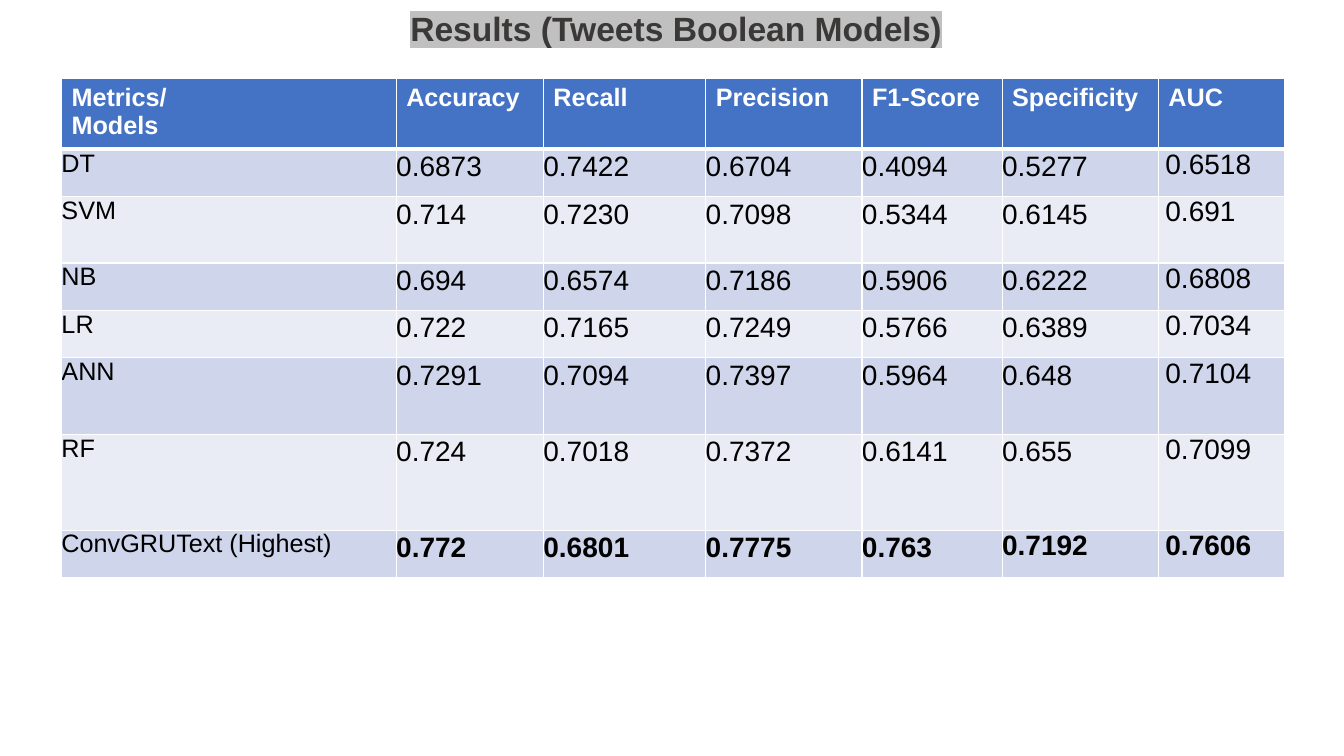
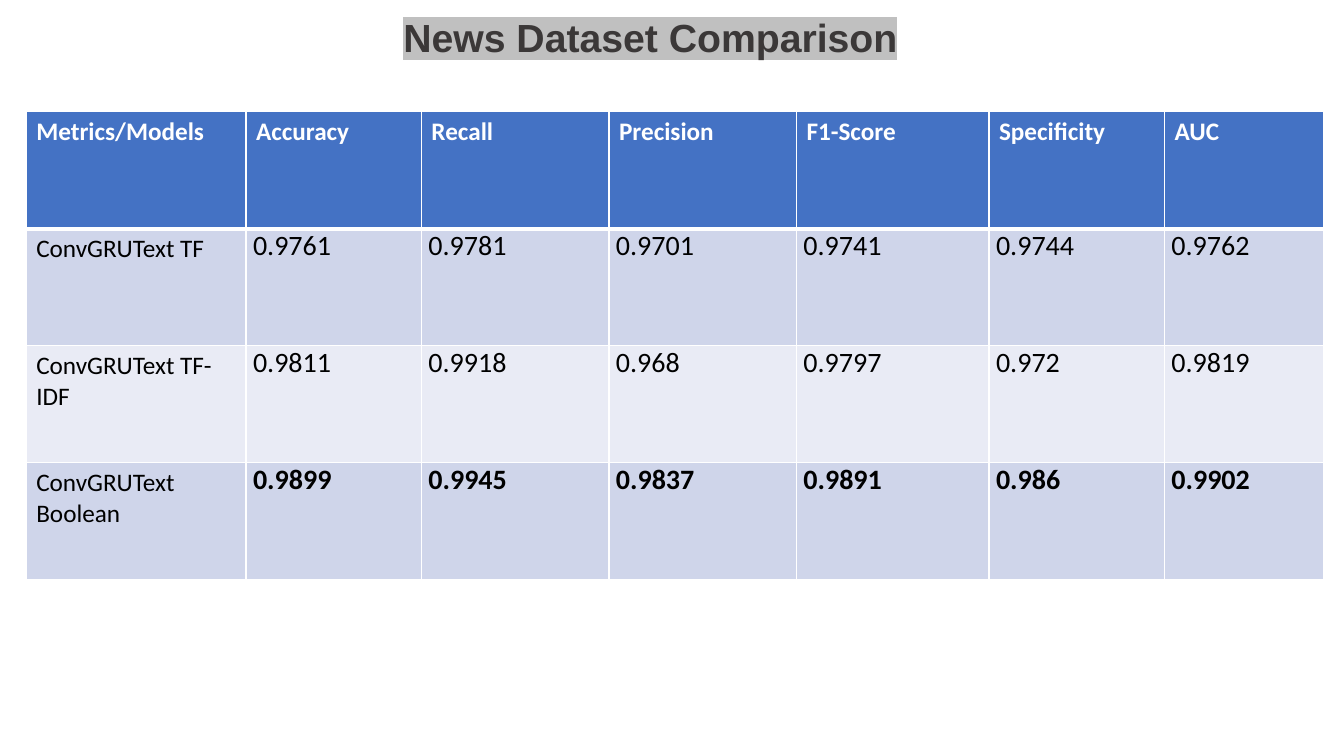
import pptx
import pptx.util
import pptx.dml.color
import pptx.enum.text
import pptx.oxml

Inches, Pt = pptx.util.Inches, pptx.util.Pt
RGB = pptx.dml.color.RGBColor
PP_ALIGN = pptx.enum.text.PP_ALIGN
ANCHOR = pptx.enum.text.MSO_ANCHOR

WHITE = RGB(0xFF, 0xFF, 0xFF)
BLACK = RGB(0, 0, 0)
DARK = RGB(0x3B, 0x38, 0x38)
GREY = RGB(0xC0, 0xC0, 0xC0)
BLUE = RGB(0x44, 0x72, 0xC4)
BANDS = RGB(0xCF, 0xD5, 0xEA), RGB(0xE9, 0xEB, 0xF5)
NS = 'xmlns:a="http://schemas.openxmlformats.org/drawingml/2006/main"'

# Content
METRICS = ["Accuracy", "Recall", "Precision", "F1-Score", "Specificity", "AUC"]
FLUSH, SLIM, WIDE = (0, 0), (0.07, 0), (0.1, 0.05)  # cell margins: side, top
SLIDES = [
    dict(
        title="Results (Tweets Boolean Models)", size=24, box=(0.33, -0.24, 12.75, 0.77),
        font="Arial", at=(0.61, 0.78), corner="Metrics/\nModels",
        cols=[3.32, 1.46, 1.61, 1.55, 1.39, 1.55, 1.25],
        rows=[0.65, 0.47, 0.66, 0.47, 0.47, 0.76, 0.95, 0.47],
        pads=[FLUSH] * 6 + [SLIM], loose=range(1, 6), tight=[(7, 5)],
        data=[
            ("DT", "0.6873", "0.7422", "0.6704", "0.4094", "0.5277", "0.6518"),
            ("SVM", "0.714", "0.7230", "0.7098", "0.5344", "0.6145", "0.691"),
            ("NB", "0.694", "0.6574", "0.7186", "0.5906", "0.6222", "0.6808"),
            ("LR", "0.722", "0.7165", "0.7249", "0.5766", "0.6389", "0.7034"),
            ("ANN", "0.7291", "0.7094", "0.7397", "0.5964", "0.648", "0.7104"),
            ("RF", "0.724", "0.7018", "0.7372", "0.6141", "0.655", "0.7099"),
            ("ConvGRUText (Highest)", "0.772", "0.6801", "0.7775", "0.763", "0.7192", "0.7606"),
        ]),
    dict(
        title="News Dataset Comparison", size=28, box=(1.37, -0.12, 10.16, 0.77),
        font="Calibri", at=(0.26, 1.11), corner="Metrics/Models",
        cols=[2.18, 1.74, 1.86, 1.86, 1.91, 1.74, 1.58],
        rows=[1.16] * 4, pads=[WIDE] + [SLIM] * 6, loose=(), tight=(),
        data=[
            ("ConvGRUText TF", "0.9761", "0.9781", "0.9701", "0.9741", "0.9744", "0.9762"),
            ("ConvGRUText TF-IDF", "0.9811", "0.9918", "0.968", "0.9797", "0.972", "0.9819"),
            ("ConvGRUText Boolean", "0.9899", "0.9945", "0.9837", "0.9891", "0.986", "0.9902"),
        ]),
]


def style(para, face, size, color, bold):
    font = para.font
    font.name, font.size, font.bold = face, Pt(size), bold
    font.color.rgb = color


def add_title(slide, text, size, box):
    frame = slide.shapes.add_textbox(*map(Inches, box)).text_frame
    frame.word_wrap = True
    frame.vertical_anchor = ANCHOR.BOTTOM
    para = frame.paragraphs[0]
    para.alignment, para.line_spacing = PP_ALIGN.CENTER, 0.9
    run = para.add_run()
    run.text = text
    style(para, "Arial", size, DARK, True)
    run.font._element.append(pptx.oxml.parse_xml(
        f'<a:highlight {NS}><a:srgbClr val="{GREY}"/></a:highlight>'))


def set_edges(cell, row):
    # The rule under the header is heavier than the rest
    widths = dict(L=1, R=1, T=3 if row == 1 else 1, B=3 if row == 0 else 1)
    for side, width in widths.items():
        cell._tc.get_or_add_tcPr().append(pptx.oxml.parse_xml(
            f'<a:ln{side} {NS} w="{Pt(width)}"><a:solidFill>'
            f'<a:srgbClr val="{WHITE}"/></a:solidFill></a:ln{side}>'))


def fill_cell(cell, text, row, col, item):
    head, value = row == 0, row > 0 and col > 0
    side, top = WIDE if head else item["pads"][col]
    cell.margin_left = cell.margin_right = Inches(side)
    cell.margin_top = cell.margin_bottom = Inches(top)
    set_edges(cell, row)
    cell.fill.solid()
    cell.fill.fore_color.rgb = BLUE if head else BANDS[(row - 1) % 2]
    cell.text = text
    bold = head or (value and row == len(item["data"]))
    for para in cell.text_frame.paragraphs:
        style(para, item["font"], 20 if value else 18, WHITE if head else BLACK, bold)
        if value and col in item["loose"] and (row, col) not in item["tight"]:
            para.line_spacing = 1.07


def add_grid(slide, item):
    lines = [(item["corner"], *METRICS)] + item["data"]
    cols, rows = item["cols"], item["rows"]
    box = (*item["at"], sum(cols), sum(rows))
    table = slide.shapes.add_table(len(rows), len(cols), *map(Inches, box)).table
    for part, width in zip(table.columns, cols):
        part.width = Inches(width)
    for part, height in zip(table.rows, rows):
        part.height = Inches(height)
    for row, line in enumerate(lines):
        for col, text in enumerate(line):
            fill_cell(table.cell(row, col), text, row, col, item)


def main():
    deck = pptx.Presentation()
    deck.slide_width, deck.slide_height = Inches(13.33), Inches(7.5)
    for item in SLIDES:
        slide = deck.slides.add_slide(deck.slide_layouts[6])
        add_title(slide, item["title"], item["size"], item["box"])
        add_grid(slide, item)
    deck.save("out.pptx")


if __name__ == "__main__":
    main()
